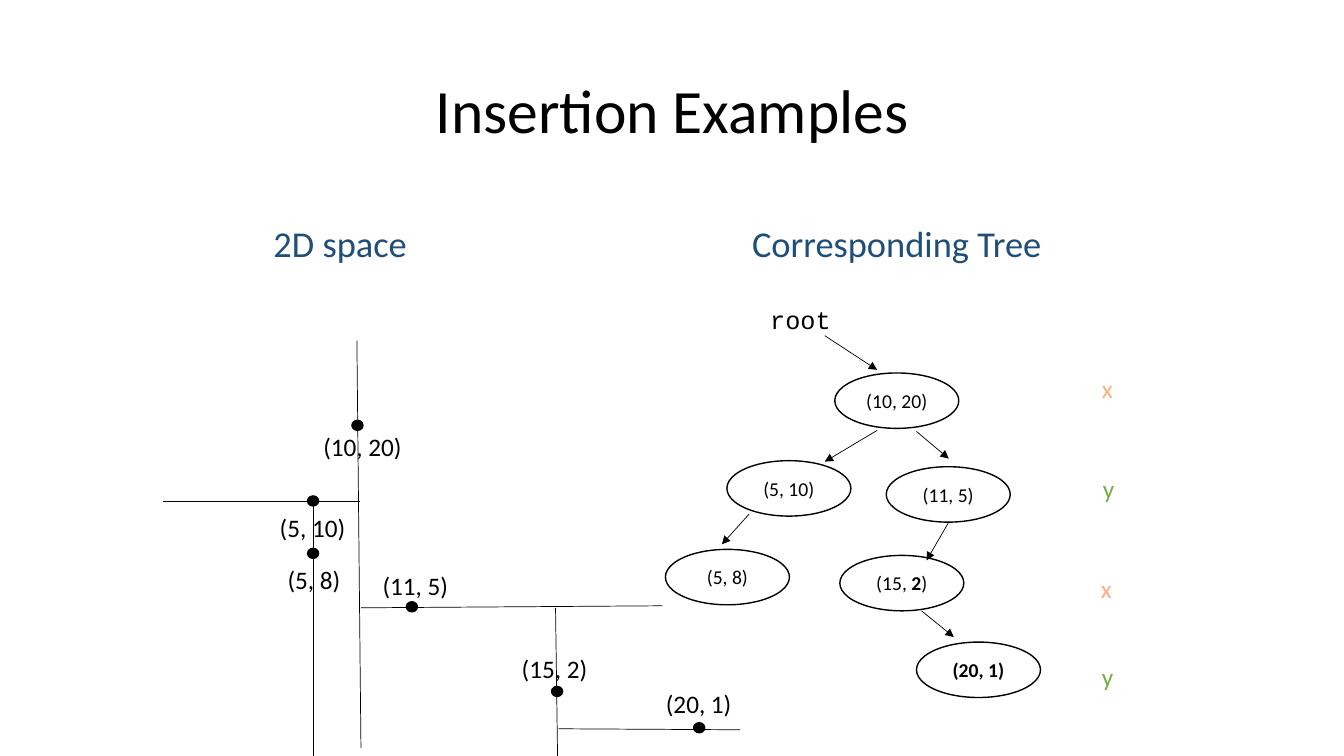
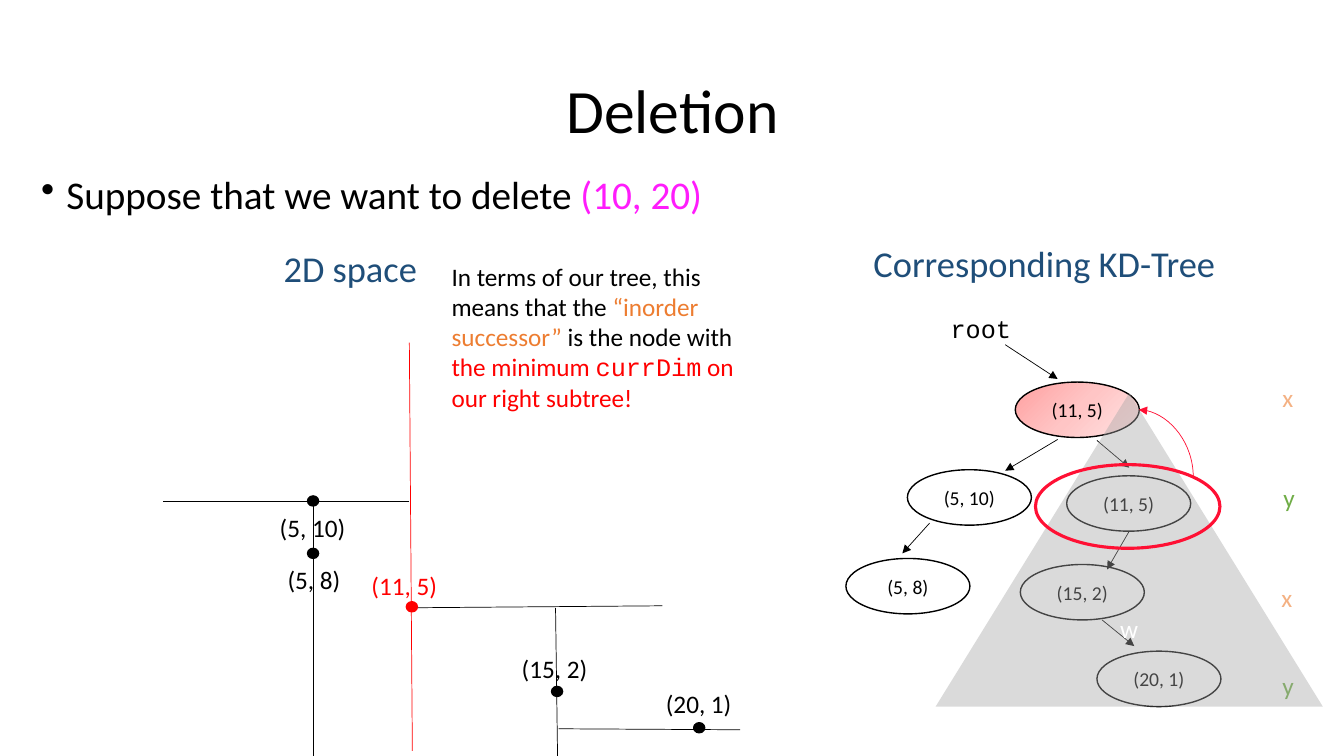
from copy import deepcopy

from pptx import Presentation
from pptx.dml.color import RGBColor
from pptx.enum.shapes import MSO_CONNECTOR, MSO_SHAPE
from pptx.enum.text import MSO_ANCHOR, PP_ALIGN
from pptx.oxml.ns import qn
from pptx.oxml.xmlchemy import OxmlElement
from pptx.util import Inches, Pt

BLACK, RED, CRIMSON, WHITE = "000000", "FF0000", "FF1034", "FFFFFF"
NAVY, ORANGE, MAGENTA, GRAY = "1F4E79", "ED7D31", "FF1CFC", "A6A6A6"
TITLE = {"size": Pt(44)}
HEADING = {"size": Pt(26), "color": NAVY}
LABEL = {"size": Pt(18)}
NODE = {"size": Pt(14)}
CODE = {"name": "Courier New"}
LINE_WIDTH = 0.5
NODE_SIZE = (1.23, 0.55)
DOT_SIZE = (0.11, 0.1)

POINTS = [
    ("(5, 10)", (3.05, 4.92), (2.67, 5.03, 0.86, 0.4)),
    ("(5, 8)", (3.05, 5.44), (2.75, 5.55, 0.73, 0.4)),
    ("(15, 2)", (5.47, 6.81), (5.07, 6.43, 0.86, 0.4)),
    ("(20, 1)", (6.88, 7.17), (6.5, 6.78, 0.86, 0.4)),
]
SPLITS = [
    ((5.53, 7.5), (5.51, 6.03)),
    ((7.34, 7.24), (5.54, 7.23)),
    ((3.11, 7.5), (3.11, 5.02)),
]
NODE_PLACES = [(8.28, 3.7), (7.21, 4.57), (8.79, 4.63), (6.6, 5.45), (8.33, 5.51), (9.09, 6.37)]
TREE_ARROWS = [
    ((8.18, 3.33), (8.7, 3.67)),
    ((8.7, 4.27), (8.18, 4.58)),
    ((9.09, 4.28), (9.41, 4.55)),
    ((9.41, 5.18), (9.19, 5.56)),
    ((9.14, 6.06), (9.46, 6.32)),
    ((7.43, 5.1), (7.16, 5.4)),
]
LEVELS = [
    ("x", 10.83, 3.65, "F4B183"),
    ("y", 10.84, 4.65, "70AD47"),
    ("x", 10.82, 5.64, "F4B183"),
    ("y", 10.83, 6.51, "70AD47"),
]
INSERTION_NODES = [
    [("(10, 20)", {})],
    [("(5, 10)", {})],
    [("(11, 5)", {})],
    [("(5, 8)", {})],
    [("(15, ", {}), ("2", {"bold": True}), (")", {})],
    [("(20, 1)", {"bold": True})],
]
DELETION_NODES = [
    [(text, {})] for text in ("(11, 5)", "(5, 10)", "(11, 5)", "(5, 8)", "(15, 2)", "(20, 1)")
]
DELETION_TASK = [("Suppose that we want to delete ", {}), ("(10, 20)", {"color": MAGENTA})]
SUCCESSOR_NOTE = [
    ("In terms of our tree, this means that the ", {}),
    ("“inorder successor”", {"color": ORANGE}),
    (" is the node with ", {}),
    ("the minimum ", {"color": RED}),
    ("currDim", {"color": RED, **CODE}),
    (" on our right subtree!", {"color": RED}),
]


def rgb(value):
    """Turn a hex string into a colour."""
    return RGBColor.from_string(value)


def write(shape, runs, style, align=PP_ALIGN.LEFT):
    """Fill the first paragraph of a shape with formatted runs."""
    paragraph = shape.text_frame.paragraphs[0]
    paragraph.alignment = align
    for text, extra in runs:
        run = paragraph.add_run()
        run.text = text
        for name, value in {"name": "Calibri", "color": BLACK, **style, **extra}.items():
            if name == "color":
                run.font.color.rgb = rgb(value)
            else:
                setattr(run.font, name, value)
    return paragraph


def add_text(slide, box, runs, style, align=PP_ALIGN.LEFT, wrap=True, anchor=MSO_ANCHOR.TOP):
    """Add a text box and return its paragraph."""
    shape = slide.shapes.add_textbox(*map(Inches, box))
    shape.text_frame.word_wrap = wrap
    shape.text_frame.vertical_anchor = anchor
    return write(shape, runs, style, align)


def add_figure(slide, kind, box, fill=None, line=BLACK, width=1):
    """Add a preset shape without shadow."""
    shape = slide.shapes.add_shape(kind, *map(Inches, box))
    shape.shadow.inherit = False
    if fill:
        shape.fill.solid()
        shape.fill.fore_color.rgb = rgb(fill)
    else:
        shape.fill.background()
    if line:
        shape.line.color.rgb = rgb(line)
        shape.line.width = Pt(width)
    else:
        shape.line.fill.background()
    return shape


def add_line(slide, start, end, color=BLACK, arrow=False, kind=MSO_CONNECTOR.STRAIGHT):
    """Add a thin connector, with an arrowhead if asked."""
    connector = slide.shapes.add_connector(kind, *map(Inches, start + end))
    connector.line.color.rgb = rgb(color)
    connector.line.width = Pt(LINE_WIDTH)
    if arrow:
        head = OxmlElement("a:tailEnd")
        head.set("type", "triangle")
        connector.line._get_or_add_ln().append(head)
    connector._element.spPr.append(OxmlElement("a:effectLst"))
    return connector


def add_title(slide, text):
    """Add the centred slide title."""
    box = (0.92, 0.4, 11.5, 1.45)
    paragraph = add_text(slide, box, [(text, {})], TITLE, PP_ALIGN.CENTER, anchor=MSO_ANCHOR.MIDDLE)
    paragraph.line_spacing = 0.9


def add_heading(slide, text, box):
    """Add the heading of one half."""
    add_text(slide, box, [(text, {})], HEADING, PP_ALIGN.CENTER)


def add_point(slide, text, place, label_box, color=BLACK):
    """Add a dot with its coordinates."""
    add_figure(slide, MSO_SHAPE.OVAL, place + DOT_SIZE, color, color)
    add_text(slide, label_box, [(text, {"color": color})], LABEL, PP_ALIGN.CENTER, wrap=False)


def add_plane(slide, divider, left_split_end, right_split_start, color=BLACK):
    """Draw the divided plane with the points both slides share."""
    add_line(slide, *divider, color)
    add_line(slide, (left_split_end, 4.97), (1.62, 4.97))
    add_line(slide, (6.57, 6.01), (right_split_start, 6.03))
    for start, end in SPLITS:
        add_line(slide, start, end)
    for text, place, label_box in POINTS:
        add_point(slide, text, place, label_box)


def add_tree(slide, nodes, right=0, down=0):
    """Draw the tree, shifted as a whole, and return its nodes."""
    add_text(slide, (7.54 + right, 2.97 + down, 0.92, 0.4), [("root", CODE)], LABEL)
    for arrow in TREE_ARROWS:
        add_line(slide, *[(x + right, y + down) for x, y in arrow], arrow=True)
    for text, x, y, color in LEVELS:
        add_text(slide, (x + right, y + down, 0.33, 0.4), [(text, {"color": color})], LABEL)
    shapes = []
    for runs, (x, y) in zip(nodes, NODE_PLACES):
        shape = add_figure(slide, MSO_SHAPE.OVAL, (x + right, y + down) + NODE_SIZE)
        write(shape, runs, NODE, PP_ALIGN.CENTER)
        shapes.append(shape)
    return shapes


def fill_gradient(shape, colors, angle):
    """Fill a shape with three evenly spaced colours."""
    shape.fill.gradient()
    shape.fill.gradient_angle = angle
    first = shape._element.spPr.find(".//" + qn("a:gs"))
    first.addnext(deepcopy(first))
    for index, (stop, color) in enumerate(zip(shape.fill.gradient_stops, colors)):
        stop.position = index / (len(colors) - 1)
        stop.color.rgb = rgb(color)


def add_bullet(paragraph):
    """Give a paragraph a hanging round bullet."""
    properties = paragraph._p.get_or_add_pPr()
    properties.set("marL", str(Inches(0.25)))
    properties.set("indent", str(-Inches(0.25)))
    bullet = OxmlElement("a:buChar")
    bullet.set("char", "•")
    properties.append(bullet)


def build_insertion(slide):
    """Build the insertion slide."""
    add_title(slide, "Insertion Examples")
    add_heading(slide, "2D space", (2.2, 2.14, 2.35, 0.54))
    add_heading(slide, "Corresponding Tree", (7.17, 2.14, 3.45, 0.54))
    add_plane(slide, ((3.58, 7.42), (3.54, 3.38)), 3.57, 3.58)
    add_point(slide, "(10, 20)", (3.49, 4.17), (3.1, 4.23, 0.99, 0.4))
    add_point(slide, "(11, 5)", (4.03, 5.97), (3.69, 5.61, 0.86, 0.4))
    add_tree(slide, INSERTION_NODES)


def build_deletion(slide):
    """Build the deletion slide."""
    add_title(slide, "Deletion")
    task = add_text(slide, (0.31, 1.69, 11.5, 0.6), DELETION_TASK, {"size": Pt(28)})
    task.line_spacing = 0.9
    add_bullet(task)
    add_heading(slide, "2D space", (2.3, 2.39, 2.35, 0.54))
    add_heading(slide, "Corresponding KD-Tree", (8.52, 2.34, 3.68, 0.54))
    add_text(slide, (4.38, 2.54, 3.19, 1.62), SUCCESSOR_NOTE, LABEL)
    add_plane(slide, ((4.09, 7.45), (4.06, 3.4)), 4.06, 4.03, RED)
    add_point(slide, "(11, 5)", (4.03, 5.97), (3.58, 5.61, 0.86, 0.4), RED)
    root, *_ = add_tree(slide, DELETION_NODES, 1.79, 0.09)
    fill_gradient(root, ("FFA0A0", "FFC5C5", "FFE3E3"), 315)

    subtree = add_figure(slide, MSO_SHAPE.ISOSCELES_TRIANGLE, (9.28, 3.9, 3.84, 3.11), GRAY, None)
    alpha = OxmlElement("a:alpha")
    alpha.set("val", "41000")
    subtree._element.spPr.find(".//" + qn("a:srgbClr")).append(alpha)
    write(subtree, [("w", {"color": WHITE})], LABEL, PP_ALIGN.CENTER)
    add_figure(slide, MSO_SHAPE.OVAL, (10.27, 4.61, 1.83, 0.83), None, CRIMSON, 2.25)

    curve = add_line(slide, (11.23, 4.67), (11.9, 4.13), CRIMSON, True, MSO_CONNECTOR.CURVE)
    properties = curve._element.spPr
    properties.find(qn("a:xfrm")).set("rot", str(270 * 60000))
    properties.find(qn("a:prstGeom")).set("prst", "curvedConnector2")


def main():
    """Build and save the presentation."""
    presentation = Presentation()
    presentation.slide_width = Inches(13.33)
    presentation.slide_height = Inches(7.5)
    for build in (build_insertion, build_deletion):
        build(presentation.slides.add_slide(presentation.slide_layouts[6]))
    presentation.save("out.pptx")


if __name__ == "__main__":
    main()
